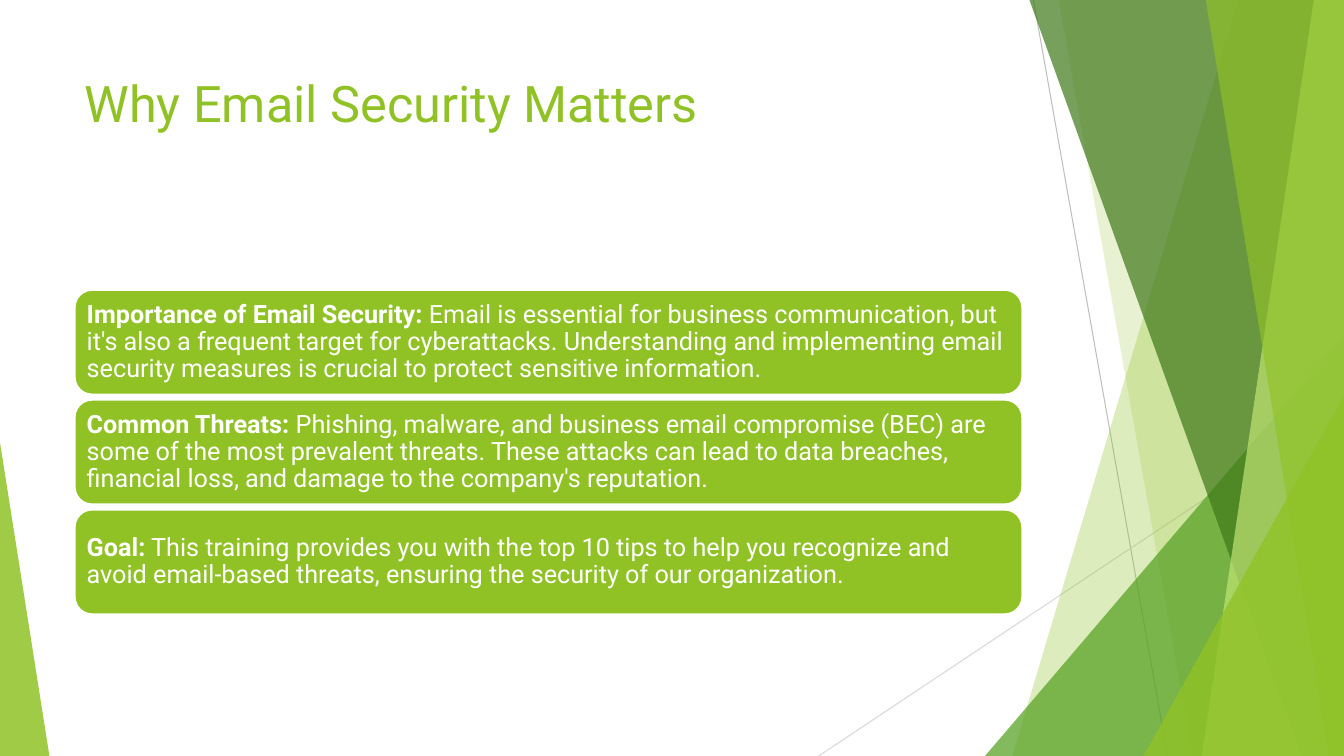
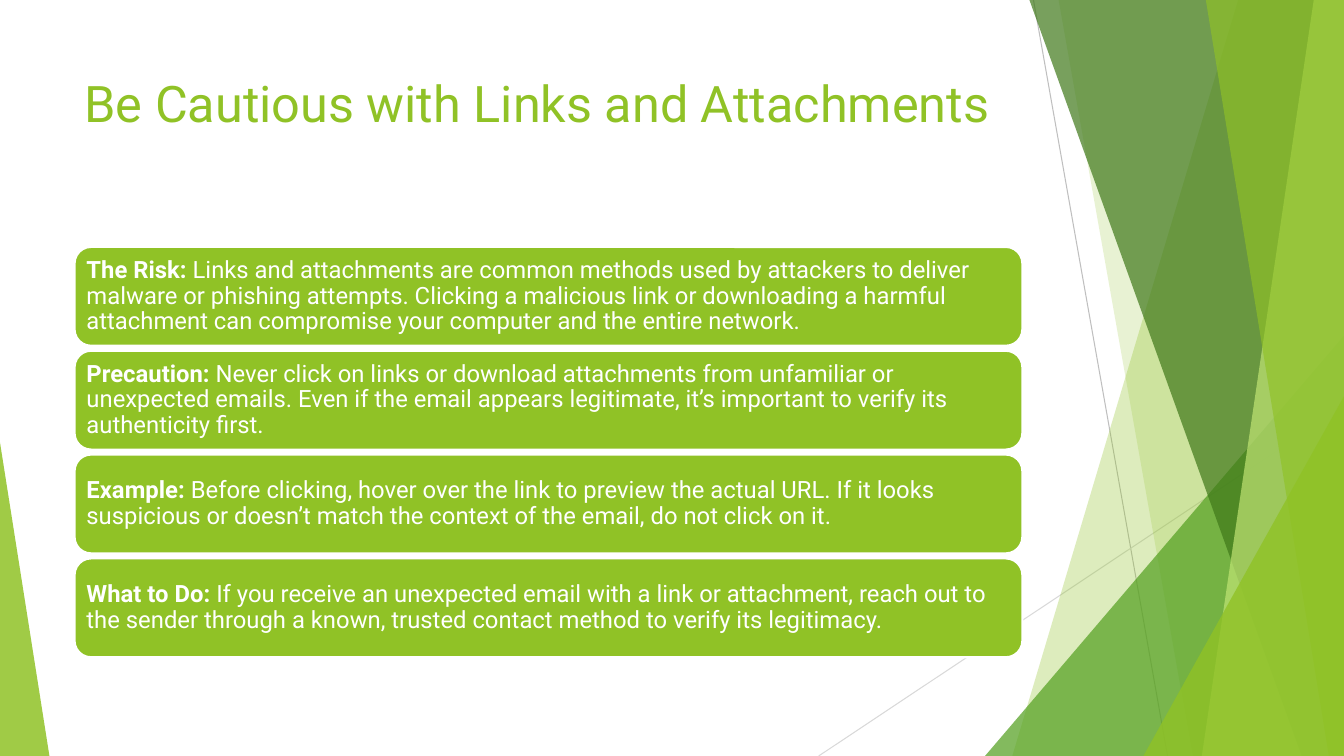
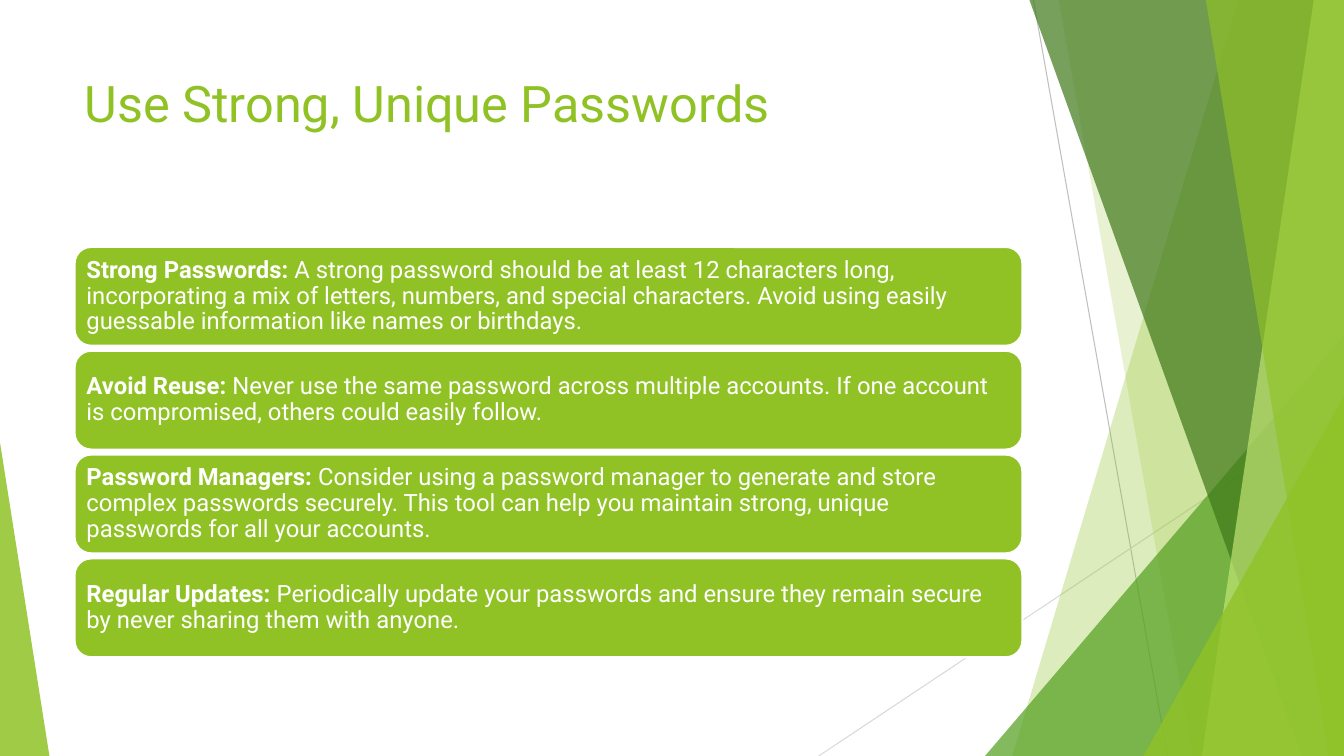
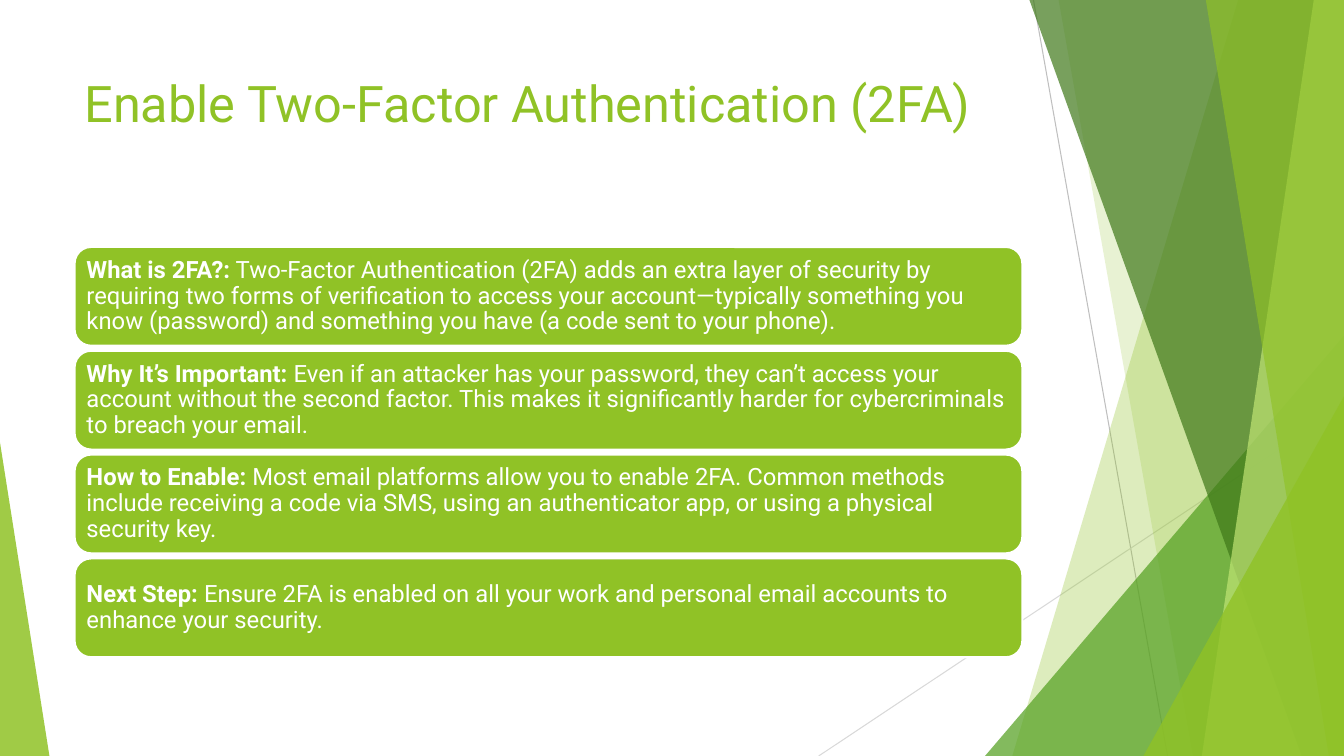
from lxml.etree import SubElement
from pptx import Presentation
from pptx.dml.color import RGBColor
from pptx.enum.shapes import MSO_CONNECTOR as Connector
from pptx.enum.shapes import MSO_SHAPE as Shape
from pptx.enum.text import MSO_ANCHOR as Anchor
from pptx.enum.text import PP_ALIGN as Align
from pptx.oxml.ns import qn
from pptx.util import Inches, Pt

# Shared style
WIDTH, HEIGHT = 13.33, 7.5
FONT = "Roboto"
GREEN = RGBColor(0x90, 0xC2, 0x26)
MID_GREEN = RGBColor(0x54, 0xA0, 0x21)
DARK_GREEN = RGBColor(0x3F, 0x78, 0x19)
LIGHT_GREEN = RGBColor(0xC0, 0xE4, 0x74)
GRAY = RGBColor(0xBF, 0xBF, 0xBF)
LIGHT_GRAY = RGBColor(0xD9, 0xD9, 0xD9)
WHITE = RGBColor(0xFF, 0xFF, 0xFF)

# Regions: left, top, width, height
TITLE_BOX = (0.74, 0.67, 9.4, 1.44)
CARDS_BOX = (0.74, 2.45, 9.4, 4.07)
CARD_GAP = 0.05
CARD_STYLES = {3: (1.04, 18), 4: (0.98, 17)}  # count: (height, font size)

# Background lines: start, end, colour
LINES = [
    ((10.25, 0), (11.58, HEIGHT), GRAY),
    ((WIDTH, 4.03), (8.12, HEIGHT), LIGHT_GRAY),
]
# Background facets, back to front. A band (top x, bottom x) runs to the right
# edge; a triangle (left, top, width, apex) stands on the bottom edge.
FACETS = [
    ("band", (12.28, 10.04), GREEN, 30),
    ("band", (10.5, 11.83), GREEN, 20),
    ("triangle", (9.77, 3.33, 3.56, 1), MID_GREEN, 72),
    ("band", (10.21, 12.91), DARK_GREEN, 70),
    ("band", (13.03, 11.92), LIGHT_GREEN, 70),
    ("band", (11.96, 13.18), GREEN, 65),
    ("triangle", (11.34, 3.93, 1.99, 1), GREEN, 80),
    ("triangle", (0, 4.39, 0.49, 0), GREEN, 85),
]

SLIDES = [
    ("Why Email Security Matters", [
        ("Importance of Email Security:",
         "Email is essential for business communication, but it's also a frequent target for "
         "cyberattacks. Understanding and implementing email security measures is crucial to "
         "protect sensitive information."),
        ("Common Threats:",
         "Phishing, malware, and business email compromise (BEC) are some of the most prevalent "
         "threats. These attacks can lead to data breaches, financial loss, and damage to the "
         "company's reputation."),
        ("Goal:",
         "This training provides you with the top 10 tips to help you recognize and avoid "
         "email-based threats, ensuring the security of our organization."),
    ]),
    ("Be Cautious with Links and Attachments", [
        ("The Risk:",
         "Links and attachments are common methods used by attackers to deliver malware or "
         "phishing attempts. Clicking a malicious link or downloading a harmful attachment can "
         "compromise your computer and the entire network."),
        ("Precaution:",
         "Never click on links or download attachments from unfamiliar or unexpected emails. "
         "Even if the email appears legitimate, it’s important to verify its authenticity first."),
        ("Example:",
         "Before clicking, hover over the link to preview the actual URL. If it looks suspicious "
         "or doesn’t match the context of the email, do not click on it."),
        ("What to Do:",
         "If you receive an unexpected email with a link or attachment, reach out to the sender "
         "through a known, trusted contact method to verify its legitimacy."),
    ]),
    ("Use Strong, Unique Passwords", [
        ("Strong Passwords:",
         "A strong password should be at least 12 characters long, incorporating a mix of "
         "letters, numbers, and special characters. Avoid using easily guessable information "
         "like names or birthdays."),
        ("Avoid Reuse:",
         "Never use the same password across multiple accounts. If one account is compromised, "
         "others could easily follow."),
        ("Password Managers:",
         "Consider using a password manager to generate and store complex passwords securely. "
         "This tool can help you maintain strong, unique passwords for all your accounts."),
        ("Regular Updates:",
         "Periodically update your passwords and ensure they remain secure by never sharing "
         "them with anyone."),
    ]),
    ("Enable Two-Factor Authentication (2FA)", [
        ("What is 2FA?:",
         "Two-Factor Authentication (2FA) adds an extra layer of security by requiring two forms "
         "of verification to access your account—typically something you know (password) and "
         "something you have (a code sent to your phone)."),
        ("Why It’s Important:",
         "Even if an attacker has your password, they can’t access your account without the "
         "second factor. This makes it significantly harder for cybercriminals to breach your "
         "email."),
        ("How to Enable:",
         "Most email platforms allow you to enable 2FA. Common methods include receiving a code "
         "via SMS, using an authenticator app, or using a physical security key."),
        ("Next Step:",
         "Ensure 2FA is enabled on all your work and personal email accounts to enhance your "
         "security."),
    ]),
]


def inches(values):
    return [Inches(value) for value in values]


def set_font(paragraph, size, color):
    paragraph.font.name = FONT
    paragraph.font.size = Pt(size)
    paragraph.font.color.rgb = color


def add_line(slide, start, end, color):
    line = slide.shapes.add_connector(Connector.STRAIGHT, *inches(start + end))
    line.line.color.rgb = color
    line.line.width = Pt(0.75)
    SubElement(line._element.spPr, qn("a:effectLst"))


def add_band(slide, top_x, bottom_x):
    builder = slide.shapes.build_freeform(Inches(top_x), 0)
    corners = [(WIDTH, 0), (WIDTH, HEIGHT), (bottom_x, HEIGHT)]
    builder.add_line_segments([inches(corner) for corner in corners], close=True)
    return builder.convert_to_shape()


def add_triangle(slide, left, top, width, apex):
    box = inches((left, top, width, HEIGHT - top))
    shape = slide.shapes.add_shape(Shape.ISOSCELES_TRIANGLE, *box)
    shape.adjustments[0] = apex
    return shape


def add_background(slide):
    for start, end, color in LINES:
        add_line(slide, start, end, color)
    for kind, geometry, color, opacity in FACETS:
        add_facet = add_band if kind == "band" else add_triangle
        shape = add_facet(slide, *geometry)
        shape.shadow.inherit = False
        shape.line.fill.background()
        shape.fill.solid()
        shape.fill.fore_color.rgb = color
        color_element = shape._element.spPr.find(qn("a:solidFill"))[0]
        SubElement(color_element, qn("a:alpha"), val=str(opacity * 1000))


def add_title(slide, box, text):
    frame = slide.shapes.add_textbox(*inches(box)).text_frame
    frame.word_wrap = True
    paragraph = frame.paragraphs[0]
    paragraph.text = text
    set_font(paragraph, 36, GREEN)


def add_card(slide, box, label, body, size):
    card = slide.shapes.add_shape(Shape.ROUNDED_RECTANGLE, *inches(box))
    card.shadow.inherit = False
    card.fill.solid()
    card.fill.fore_color.rgb = GREEN
    card.line.color.rgb = WHITE
    card.line.width = Pt(1.5)

    frame = card.text_frame
    frame.word_wrap = True
    frame.vertical_anchor = Anchor.MIDDLE
    frame.margin_left = frame.margin_right = Inches(0.07)
    frame.margin_top = frame.margin_bottom = Inches(0.07)
    paragraph = frame.paragraphs[0]
    paragraph.alignment = Align.LEFT
    paragraph.line_spacing = 0.9
    set_font(paragraph, size, WHITE)
    label_run = paragraph.add_run()
    label_run.text = label
    label_run.font.bold = True
    paragraph.add_run().text = f" {body}"


def add_cards(slide, box, cards):
    """Stack the cards, centred vertically in the box."""
    left, top, width, height = box
    card_height, size = CARD_STYLES[len(cards)]
    pitch = card_height + CARD_GAP
    first_top = top + (height - pitch * len(cards) + CARD_GAP) / 2
    for index, (label, body) in enumerate(cards):
        card_box = (left, first_top + index * pitch, width, card_height)
        add_card(slide, card_box, label, body, size)


def main():
    presentation = Presentation()
    presentation.slide_width = Inches(WIDTH)
    presentation.slide_height = Inches(HEIGHT)
    blank = presentation.slide_layouts[6]
    for title, cards in SLIDES:
        slide = presentation.slides.add_slide(blank)
        add_background(slide)
        add_title(slide, TITLE_BOX, title)
        add_cards(slide, CARDS_BOX, cards)
    presentation.save("out.pptx")


if __name__ == "__main__":
    main()
